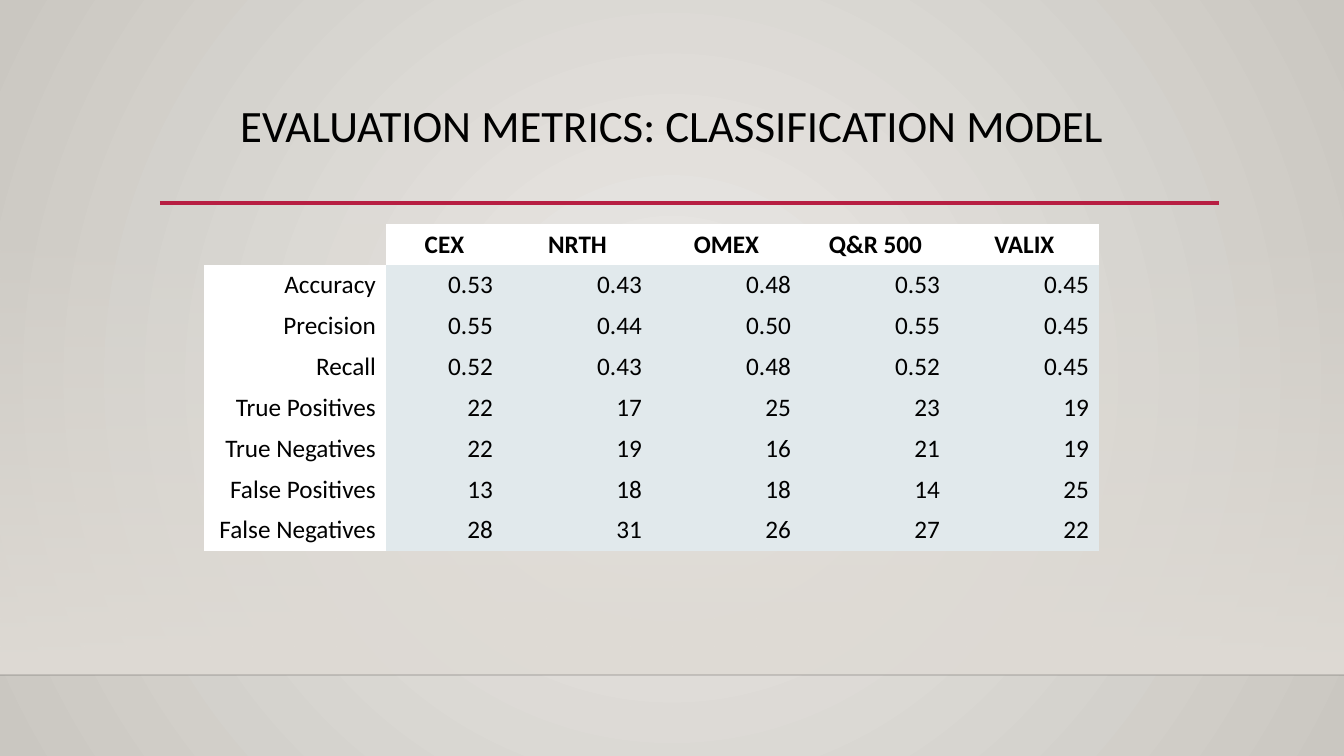
from dataclasses import dataclass

from lxml.etree import SubElement
from pptx import Presentation
from pptx.dml.color import RGBColor
from pptx.enum.shapes import MSO_CONNECTOR as Connector, MSO_SHAPE as Shape
from pptx.enum.text import MSO_ANCHOR as Anchor, PP_ALIGN as Align
from pptx.oxml.ns import qn
from pptx.util import Pt

EMU_PER_PX = 914400 / 100.8
SLIDE_WIDTH, SLIDE_HEIGHT = 1344, 756
NO_STYLE_NO_GRID = "{2D5ABB26-0587-4C30-8999-92F81FD0307C}"


@dataclass(frozen=True)
class Theme:
    font: str = "Calibri"
    title_size: int = 32
    table_size: int = 18
    text: str = "000000"
    glow: str = "ECEAE7"
    edge: str = "CAC7C1"
    wall: str = "DFDBD5"
    floor_line: str = "000001"
    accent: str = "B71E42"
    label_fill: str = "FFFFFF"
    value_fill: str = "E1E9EC"


def px(length):
    return round(length * EMU_PER_PX)


def color(code):
    return RGBColor.from_string(code)


def apply_format(target, values):
    for name, value in values.items():
        setattr(target, name, value)


def set_opacity(fill_element, percent):
    """Give the first RGB colour inside the element an alpha value."""
    rgb = next(fill_element.iter(qn("a:srgbClr")))
    SubElement(rgb, qn("a:alpha")).set("val", str(percent * 1000))


class SlideBuilder:
    def __init__(self, slide, theme):
        self.slide = slide
        self.theme = theme

    def gradient(self, fill, first, last):
        fill.gradient()
        for stop, code, position in zip(fill.gradient_stops, (first, last), (0, 1)):
            apply_format(stop, {"position": position})
            stop.color.rgb = color(code)

    def radial_background(self, center, edge):
        fill = self.slide.background.fill
        self.gradient(fill, center, edge)
        gradient = next(self.slide.element.iter(qn("a:gradFill")))
        gradient.remove(gradient.find(qn("a:lin")))
        radial = SubElement(gradient, qn("a:path"))
        radial.set("path", "circle")
        focus = SubElement(radial, qn("a:fillToRect"))
        for side in "ltrb":
            focus.set(side, "50000")

    def fading_panel(self, left, top, width, height, code):
        """Draw a rectangle that fades in from clear at the top."""
        panel = self.slide.shapes.add_shape(
            Shape.RECTANGLE, px(left), px(top), px(width), px(height))
        panel.shadow.inherit = False
        panel.line.fill.background()
        self.gradient(panel.fill, code, code)
        panel.fill.gradient_angle = 270
        set_opacity(panel.element.spPr.find(qn("a:gradFill")), 0)

    def horizontal_line(self, left, right, y, code, weight, opacity=100):
        line = self.slide.shapes.add_connector(
            Connector.STRAIGHT, px(left), px(y), px(right), px(y))
        line.line.width = Pt(weight)
        line.line.color.rgb = color(code)
        if opacity < 100:
            set_opacity(line.element.spPr, opacity)
        SubElement(line.element.spPr, qn("a:effectLst"))

    def add_text(self, paragraph, text, size, align, bold=False):
        paragraph.alignment = align
        run = paragraph.add_run()
        run.text = text
        apply_format(run.font, {"name": self.theme.font, "size": Pt(size), "bold": bold})
        run.font.color.rgb = color(self.theme.text)

    def title(self, text, left, top, width, height):
        box = self.slide.shapes.add_textbox(px(left), px(top), px(width), px(height))
        apply_format(box.text_frame, {"word_wrap": True, "vertical_anchor": Anchor.TOP})
        paragraph = box.text_frame.paragraphs[0]
        paragraph.line_spacing = 0.9
        self.add_text(paragraph, text, self.theme.title_size, Align.CENTER)

    def table(self, rows, left, top, column_widths, height):
        table = self.slide.shapes.add_table(
            len(rows), len(column_widths), px(left), px(top),
            px(sum(column_widths)), px(height)).table
        apply_format(table, {"first_row": False, "horz_banding": False})
        table._tbl.tblPr.find(qn("a:tableStyleId")).text = NO_STYLE_NO_GRID
        for column, width in zip(table.columns, column_widths):
            column.width = px(width)
        for row_index, row in enumerate(rows):
            for column_index, text in enumerate(row):
                self.cell(table.cell(row_index, column_index), text,
                          is_header=row_index == 0, is_label=column_index == 0)

    def cell(self, cell, text, is_header, is_label):
        cell.vertical_anchor = Anchor.MIDDLE
        if not text:
            cell.fill.background()
            return
        theme = self.theme
        cell.fill.solid()
        cell.fill.fore_color.rgb = color(
            theme.label_fill if is_header or is_label else theme.value_fill)
        self.add_text(cell.text_frame.paragraphs[0], text, theme.table_size,
                      Align.CENTER if is_header else Align.RIGHT, bold=is_header)


METRICS = [
    ("", "CEX", "NRTH", "OMEX", "Q&R 500", "VALIX"),
    ("Accuracy", "0.53", "0.43", "0.48", "0.53", "0.45"),
    ("Precision", "0.55", "0.44", "0.50", "0.55", "0.45"),
    ("Recall", "0.52", "0.43", "0.48", "0.52", "0.45"),
    ("True Positives", "22", "17", "25", "23", "19"),
    ("True Negatives", "22", "19", "16", "21", "19"),
    ("False Positives", "13", "18", "18", "14", "25"),
    ("False Negatives", "28", "31", "26", "27", "22"),
]


def main():
    presentation = Presentation()
    apply_format(presentation, {"slide_width": px(SLIDE_WIDTH),
                                "slide_height": px(SLIDE_HEIGHT)})
    theme = Theme()
    slide = presentation.slides.add_slide(presentation.slide_layouts[6])
    builder = SlideBuilder(slide, theme)

    wall_top, floor_top = 223, 675
    builder.radial_background(theme.glow, theme.edge)
    builder.fading_panel(0, wall_top, SLIDE_WIDTH, floor_top - wall_top, theme.wall)
    builder.horizontal_line(0, SLIDE_WIDTH, floor_top, theme.floor_line, 1, opacity=20)
    builder.horizontal_line(160, 1219, 203, theme.accent, 2.5)
    builder.title("EVALUATION METRICS: CLASSIFICATION MODEL", 0, 99, SLIDE_WIDTH, 103)
    builder.table(METRICS, 204, 224, [182, 117] + [149] * 4, 327)

    presentation.save("out.pptx")


if __name__ == "__main__":
    main()
